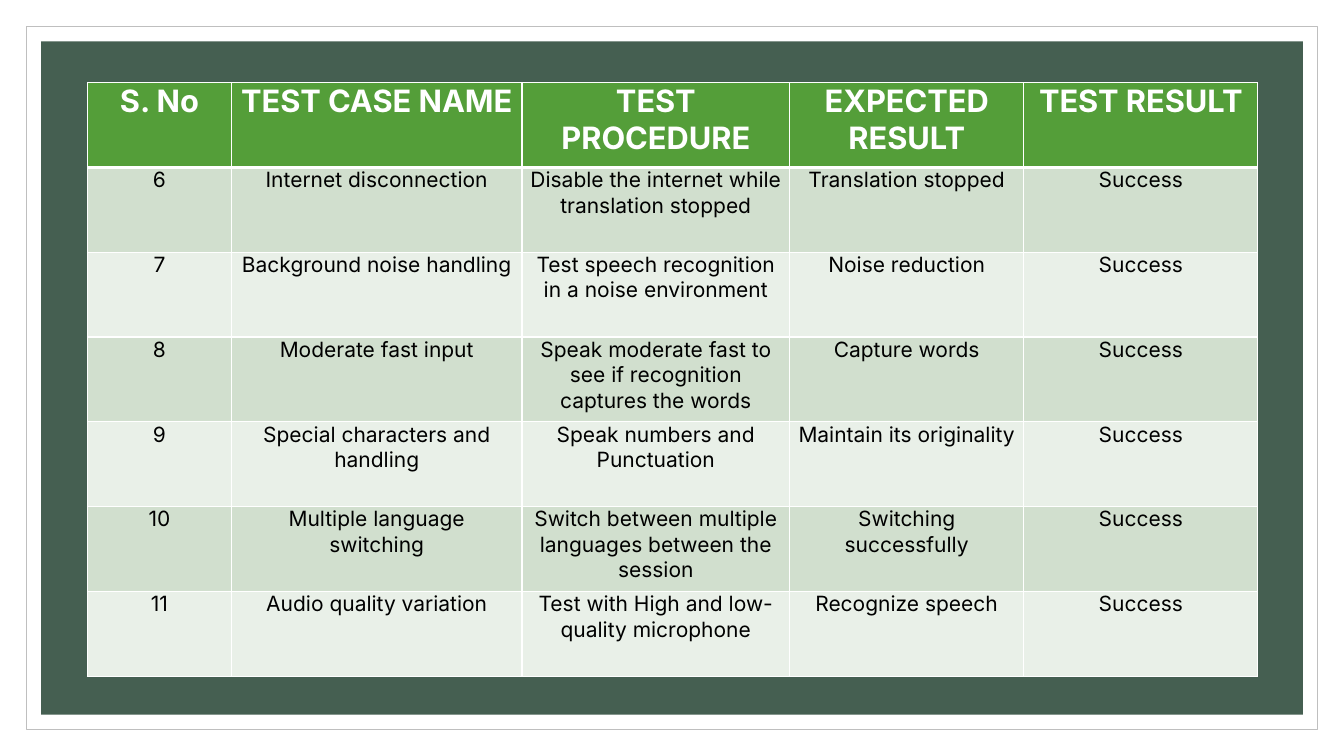
from lxml import etree
from pptx import Presentation
from pptx.dml.color import RGBColor
from pptx.enum.shapes import MSO_SHAPE
from pptx.enum.text import PP_ALIGN
from pptx.oxml.ns import qn
from pptx.util import Inches, Pt

RECTANGLE = MSO_SHAPE.RECTANGLE
CENTER = PP_ALIGN.CENTER

WHITE = RGBColor(0xFF, 0xFF, 0xFF)
BLACK = RGBColor(0x00, 0x00, 0x00)
FRAME_GRAY = RGBColor(0xBF, 0xBF, 0xBF)
PANEL_GREEN = RGBColor(0x45, 0x5F, 0x51)
HEADER_GREEN = RGBColor(0x54, 0x9E, 0x39)
BAND_DARK = RGBColor(0xD1, 0xDF, 0xCE)
BAND_LIGHT = RGBColor(0xE9, 0xF0, 0xE8)

HEADINGS = ["S. No", "TEST CASE NAME", "TEST PROCEDURE", "EXPECTED RESULT", "TEST RESULT"]
TEST_CASES = [
    ("Internet disconnection", "Disable the internet while translation stopped", "Translation stopped"),
    ("Background noise handling", "Test speech recognition in a noise environment", "Noise reduction"),
    ("Moderate fast input", "Speak moderate fast to see if recognition captures the words", "Capture words"),
    ("Special characters and handling", "Speak numbers and Punctuation", "Maintain its originality"),
    ("Multiple language switching", "Switch between multiple languages between the session", "Switching successfully"),
    ("Audio quality variation", "Test with High and low-quality microphone", "Recognize speech"),
]
FIRST_NUMBER = 6
COLUMN_SHARES = [10.73, 21.61, 19.92, 17.42, 17.42]
ROW_SHARE = 11.22


class TestCaseSlide:
    """Draws styled elements on one slide, with lengths in percent of its size."""

    font_name = "Inter"
    header_size = Pt(22)
    body_size = Pt(15)
    thin_border = Pt(1)
    thick_border = Pt(3)

    def __init__(self, presentation):
        self.width = presentation.slide_width
        self.height = presentation.slide_height
        self.slide = presentation.slides.add_slide(presentation.slide_layouts[6])

    def across(self, percent):
        return round(self.width * percent / 100)

    def down(self, percent):
        return round(self.height * percent / 100)

    def add_panel(self, left, top, fill, line=None):
        shape = self.slide.shapes.add_shape(
            RECTANGLE, self.across(left), self.down(top),
            self.across(100 - 2 * left), self.down(100 - 2 * top))
        shape.shadow.inherit = False
        shape.fill.solid()
        shape.fill.fore_color.rgb = fill
        if line is None:
            shape.line.fill.background()
        else:
            shape.line.color.rgb = line
            shape.line.width = Pt(0.5)

    def add_table(self, left, top, column_shares, row_share, rows):
        table = self.slide.shapes.add_table(
            len(rows), len(column_shares), self.across(left), self.down(top),
            self.across(sum(column_shares)), self.down(row_share * len(rows))).table
        for column, share in zip(table.columns, column_shares):
            column.width = self.across(share)
        for row_index, texts in enumerate(rows):
            table.rows[row_index].height = self.down(row_share)
            for column_index, text in enumerate(texts):
                self.style_cell(table.cell(row_index, column_index), text, row_index)

    def style_cell(self, cell, text, row_index):
        is_header = row_index == 0
        cell.margin_left = cell.margin_right = Inches(0.07)
        cell.margin_top = cell.margin_bottom = 0
        self.add_border(cell, "a:lnL", self.thin_border)
        self.add_border(cell, "a:lnR", self.thin_border)
        self.add_border(cell, "a:lnT", self.thick_border if row_index == 1 else self.thin_border)
        self.add_border(cell, "a:lnB", self.thick_border if is_header else self.thin_border)
        cell.fill.solid()
        band = BAND_DARK if row_index % 2 else BAND_LIGHT
        cell.fill.fore_color.rgb = HEADER_GREEN if is_header else band
        cell.text_frame.text = text
        paragraph = cell.text_frame.paragraphs[0]
        paragraph.alignment = CENTER
        font = paragraph.runs[0].font
        font.name = self.font_name
        font.size = self.header_size if is_header else self.body_size
        font.bold = is_header
        font.color.rgb = WHITE if is_header else BLACK

    def add_border(self, cell, tag, width):
        properties = cell._tc.get_or_add_tcPr()
        border = etree.SubElement(properties, qn(tag), w=str(width))
        fill = etree.SubElement(border, qn("a:solidFill"))
        etree.SubElement(fill, qn("a:srgbClr"), val=str(WHITE))


def main():
    presentation = Presentation()
    presentation.slide_width = Inches(13.33)
    presentation.slide_height = Inches(7.5)
    slide = TestCaseSlide(presentation)
    slide.add_panel(1.95, 3.47, WHITE, FRAME_GRAY)
    slide.add_panel(3.05, 5.47, PANEL_GREEN)
    rows = [HEADINGS] + [
        (str(number), *test_case, "Success")
        for number, test_case in enumerate(TEST_CASES, FIRST_NUMBER)
    ]
    slide.add_table(6.5, 10.93, COLUMN_SHARES, ROW_SHARE, rows)
    presentation.save("out.pptx")


if __name__ == "__main__":
    main()
